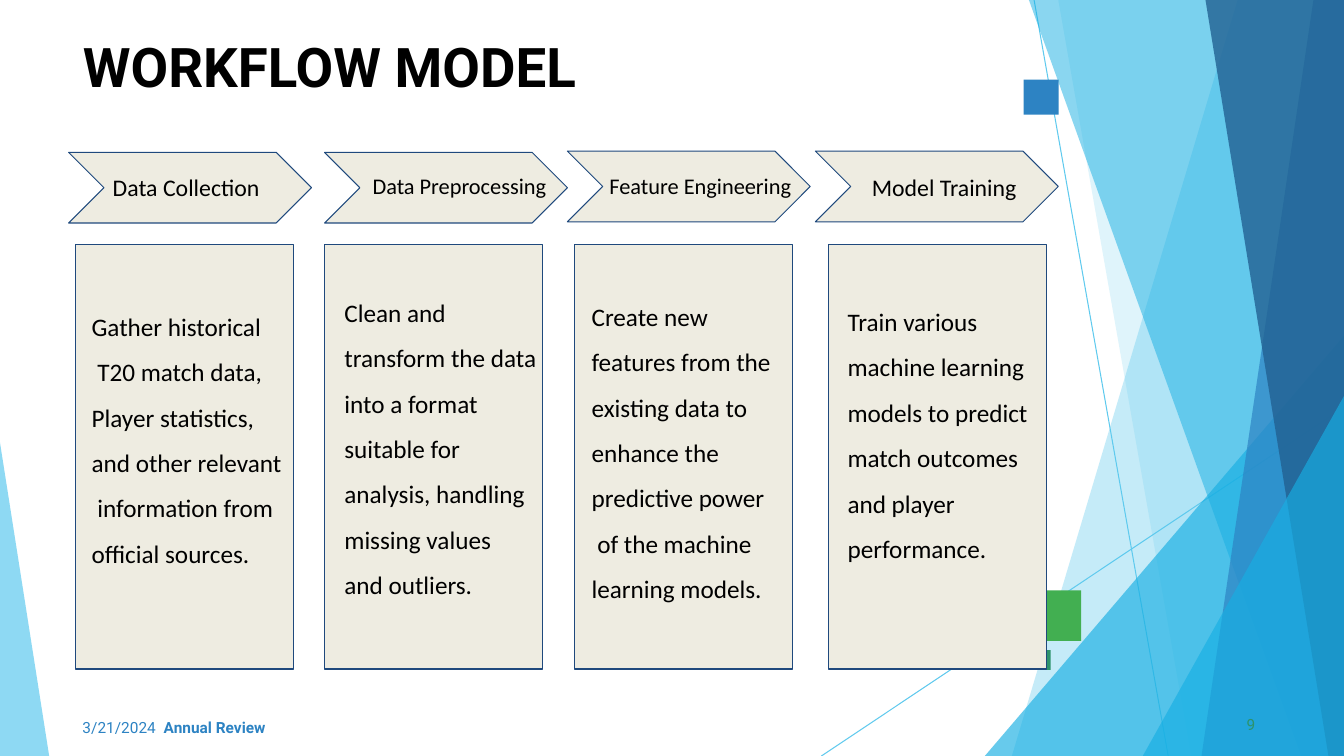
from dataclasses import dataclass

from lxml.etree import SubElement
from pptx import Presentation
from pptx.dml.color import RGBColor
from pptx.enum.shapes import MSO_CONNECTOR, MSO_SHAPE
from pptx.enum.text import MSO_ANCHOR, MSO_AUTO_SIZE, PP_ALIGN
from pptx.oxml.ns import qn
from pptx.shapes.autoshape import Shape
from pptx.slide import Slide
from pptx.text.text import Font, TextFrame
from pptx.util import Cm, Pt

WIDTH, HEIGHT = 33.87, 19.05
BLACK, BEIGE, NAVY = "000000", "EEECE1", "1F497D"
SKY, AZURE, BLUE, DEEP_BLUE = "5FCAEE", "17AFE3", "2D83C3", "226192"
GREEN, TEAL = "42AF51", "2D936B"


@dataclass
class Facet:
    """Translucent panel between a slanted side and a vertical slide edge."""
    top_x: float
    top_y: float
    bottom_x: float
    color: str
    alpha: int
    edge: float = WIDTH


@dataclass
class Square:
    x: float
    y: float
    size: float
    color: str


@dataclass
class Step:
    title: str
    title_size: int
    chevron_x: float
    chevron_y: float
    title_x: float
    card_x: float
    text_x: float
    text_y: float
    text_width: float
    lines: list[str]


RAYS = [(26.06, 0, 29.44, HEIGHT), (WIDTH, 10.26, 20.7, HEIGHT)]

FACETS = [
    Facet(31.19, 0, 25.5, SKY, 36),
    Facet(26.67, 0, 30.02, SKY, 20),
    Facet(WIDTH, 8.46, 24.82, AZURE, 65),
    Facet(25.93, 0, 32.79, AZURE, 50),
    Facet(33.1, 0, 30.28, BLUE, 70),
    Facet(30.38, 0, 33.48, DEEP_BLUE, 80),
    Facet(WIDTH, 9.98, 28.8, AZURE, 65),
    Facet(0, 11.15, 1.24, SKY, 70, edge=0),
]

SQUARES = [
    Square(25.98, 14.88, 1.27, GREEN),
    Square(25.8, 2.01, 0.88, BLUE),
    Square(25.98, 16.38, 0.5, TEAL),
]

STEPS = [
    Step("Data Collection", 17, 1.73, 3.84, 2.59, 1.9, 2.06, 7.21, 23.19,
         ["Gather historical", " T20 match data,", "Player statistics,",
          "and other relevant", " information from", "official sources."]),
    Step("Data Preprocessing", 16, 8.18, 3.84, 9.14, 8.18, 8.43, 6.86, 23.19,
         ["Clean and", "transform the data", "into a format", "suitable for",
          "analysis, handling", "missing values", "and outliers."]),
    Step("Feature Engineering", 16, 14.3, 3.81, 15.11, 14.48, 14.66, 6.96, 18.3,
         ["Create new", "features from the", "existing data to", "enhance the",
          "predictive power", " of the machine", "learning models."]),
    Step("Model Training", 17, 20.55, 3.81, 21.72, 20.88, 21.11, 7.09, 11.9,
         ["Train various", "machine learning", "models to predict",
          "match outcomes", "and player", "performance."]),
]


def rgb(color: str) -> RGBColor:
    return RGBColor.from_string(color)


def paint(sp: Shape, fill: str, line: str | None = None) -> None:
    sp.shadow.inherit = False
    sp.fill.solid()
    sp.fill.fore_color.rgb = rgb(fill)
    if line:
        sp.line.color.rgb = rgb(line)
        sp.line.width = Pt(0.75)
    else:
        sp.line.fill.background()


def set_font(font: Font, name: str, size: int, color: str, bold: bool = False) -> None:
    font.name, font.size, font.bold = name, Pt(size), bold
    font.color.rgb = rgb(color)


def set_frame(tf: TextFrame, left: float = 0, top: float = 0,
              right: float = 0, bottom: float = 0) -> None:
    """Wrap text from the top of its box, with insets in centimetres."""
    tf.word_wrap = True
    tf.auto_size = MSO_AUTO_SIZE.NONE
    tf.vertical_anchor = MSO_ANCHOR.TOP
    tf.margin_left, tf.margin_top = Cm(left), Cm(top)
    tf.margin_right, tf.margin_bottom = Cm(right), Cm(bottom)


def add_box(s: Slide, x: float, y: float, w: float, h: float) -> TextFrame:
    return s.shapes.add_textbox(Cm(x), Cm(y), Cm(w), Cm(h)).text_frame


def add_preset(s: Slide, kind: MSO_SHAPE, x: float, y: float, w: float, h: float,
               fill: str, line: str | None = None) -> None:
    paint(s.shapes.add_shape(kind, Cm(x), Cm(y), Cm(w), Cm(h)), fill, line)


def add_ray(s: Slide, x1: float, y1: float, x2: float, y2: float) -> None:
    ray = s.shapes.add_connector(MSO_CONNECTOR.STRAIGHT, Cm(x1), Cm(y1), Cm(x2), Cm(y2))
    ray.line.color.rgb = rgb(SKY)
    ray.line.width = Pt(0.75)
    SubElement(ray._element.spPr, qn("a:effectLst"))


def add_facet(s: Slide, facet: Facet) -> None:
    builder = s.shapes.build_freeform(Cm(facet.edge), Cm(facet.top_y))
    corners = [(facet.top_x, facet.top_y), (facet.bottom_x, HEIGHT), (facet.edge, HEIGHT)]
    builder.add_line_segments([(Cm(x), Cm(y)) for x, y in corners], close=True)
    sp = builder.convert_to_shape()
    paint(sp, facet.color)
    color = sp._element.spPr.find(qn("a:solidFill"))[0]
    SubElement(color, qn("a:alpha"), val=str(facet.alpha * 1000))


def add_lines(tf: TextFrame, lines: list[str], size: int, spacing: float) -> None:
    set_frame(tf, 0.25, 0.25, 0.25, 0.25)
    tf.text = "\n".join(lines)
    for p in tf.paragraphs:
        p.line_spacing = spacing
        set_font(p.font, "Calibri", size, BLACK)


def add_step(s: Slide, step: Step) -> None:
    add_preset(s, MSO_SHAPE.CHEVRON, step.chevron_x, step.chevron_y, 6.12, 1.78, BEIGE, NAVY)
    add_preset(s, MSO_SHAPE.RECTANGLE, step.card_x, 6.17, 5.49, 10.69, BEIGE, NAVY)
    title = add_box(s, step.title_x, 4.09, step.text_width, 1.22)
    add_lines(title, [step.title], step.title_size, 1.0)
    text_height = 1.17 * (len(step.lines) + 1)
    text = add_box(s, step.text_x, step.text_y, step.text_width, text_height)
    add_lines(text, step.lines, 18, 1.5)


def add_title(s: Slide, text: str) -> None:
    title = s.shapes.title
    title.left, title.top, title.width, title.height = Cm(2.06), Cm(0.81), Cm(17.1), Cm(1.7)
    tf = title.text_frame
    set_frame(tf, left=0.03, top=0.03)
    tf.text = text
    p = tf.paragraphs[0]
    p.alignment = PP_ALIGN.LEFT
    set_font(p.font, "Roboto", 39, BLACK, bold=True)


def add_footer(s: Slide) -> None:
    tf = add_box(s, 2.08, 18.01, 4.93, 0.46)
    set_frame(tf)
    p = tf.paragraphs[0]
    p.line_spacing = 1.16
    for text, bold in [("3/21/2024  ", False), ("Annual Review", True)]:
        r = p.add_run()
        r.text = text
        set_font(r.font, "Roboto", 11, BLUE, bold)

    tf = add_box(s, 31.32, 17.98, 0.64, 0.53)
    set_frame(tf, left=0.1, top=0.03)
    tf.text = "9"
    set_font(tf.paragraphs[0].font, "Roboto", 11, TEAL)


def main() -> None:
    prs = Presentation()
    prs.slide_width, prs.slide_height = Cm(WIDTH), Cm(HEIGHT)
    s = prs.slides.add_slide(prs.slide_layouts.get_by_name("Title Only"))
    for ray in RAYS:
        add_ray(s, *ray)
    for facet in FACETS:
        add_facet(s, facet)
    for sq in SQUARES:
        add_preset(s, MSO_SHAPE.RECTANGLE, sq.x, sq.y, sq.size, sq.size, sq.color)
    add_title(s, "WORKFLOW MODEL")
    add_footer(s)
    for step in STEPS:
        add_step(s, step)
    prs.save("out.pptx")


if __name__ == "__main__":
    main()
